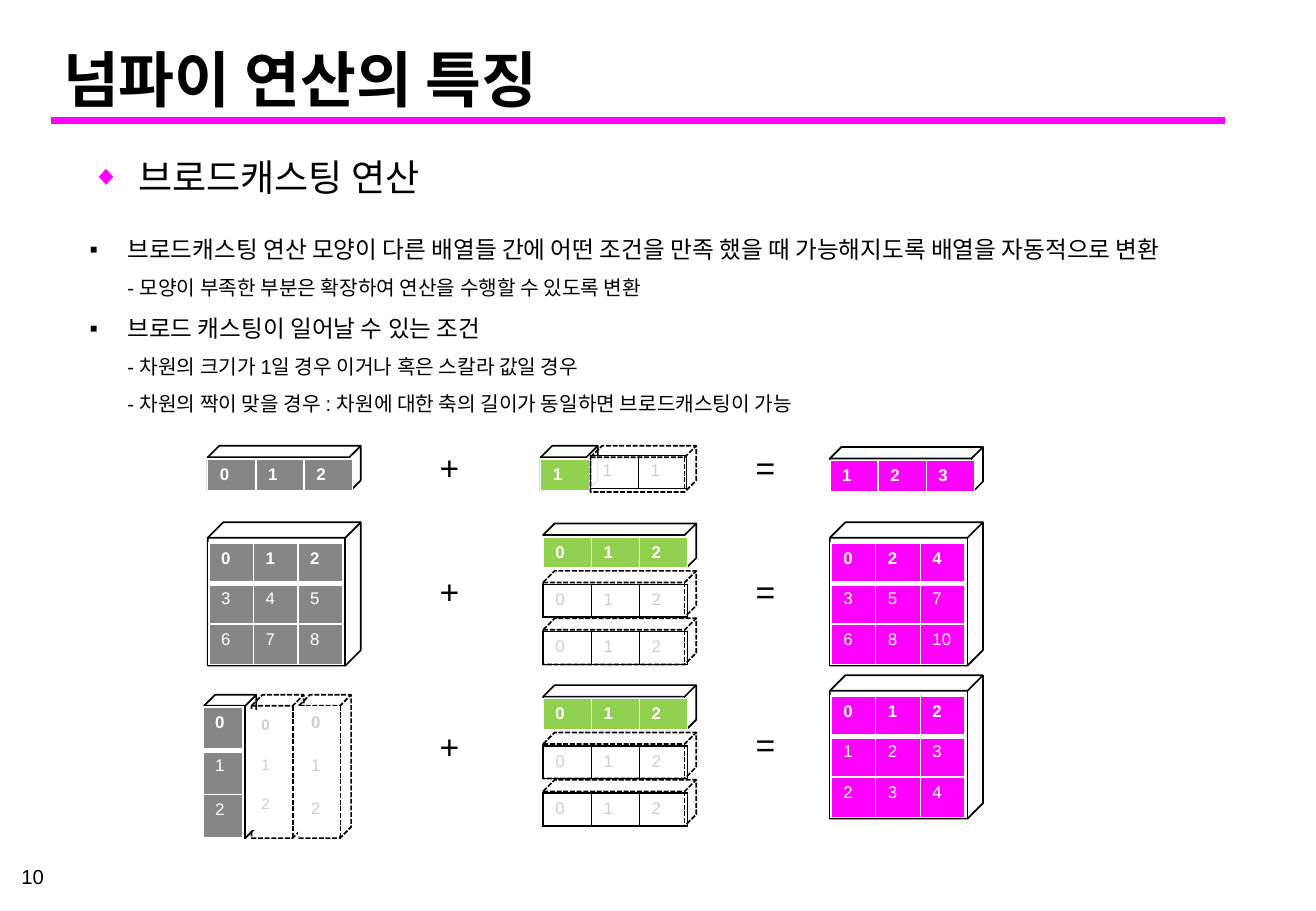
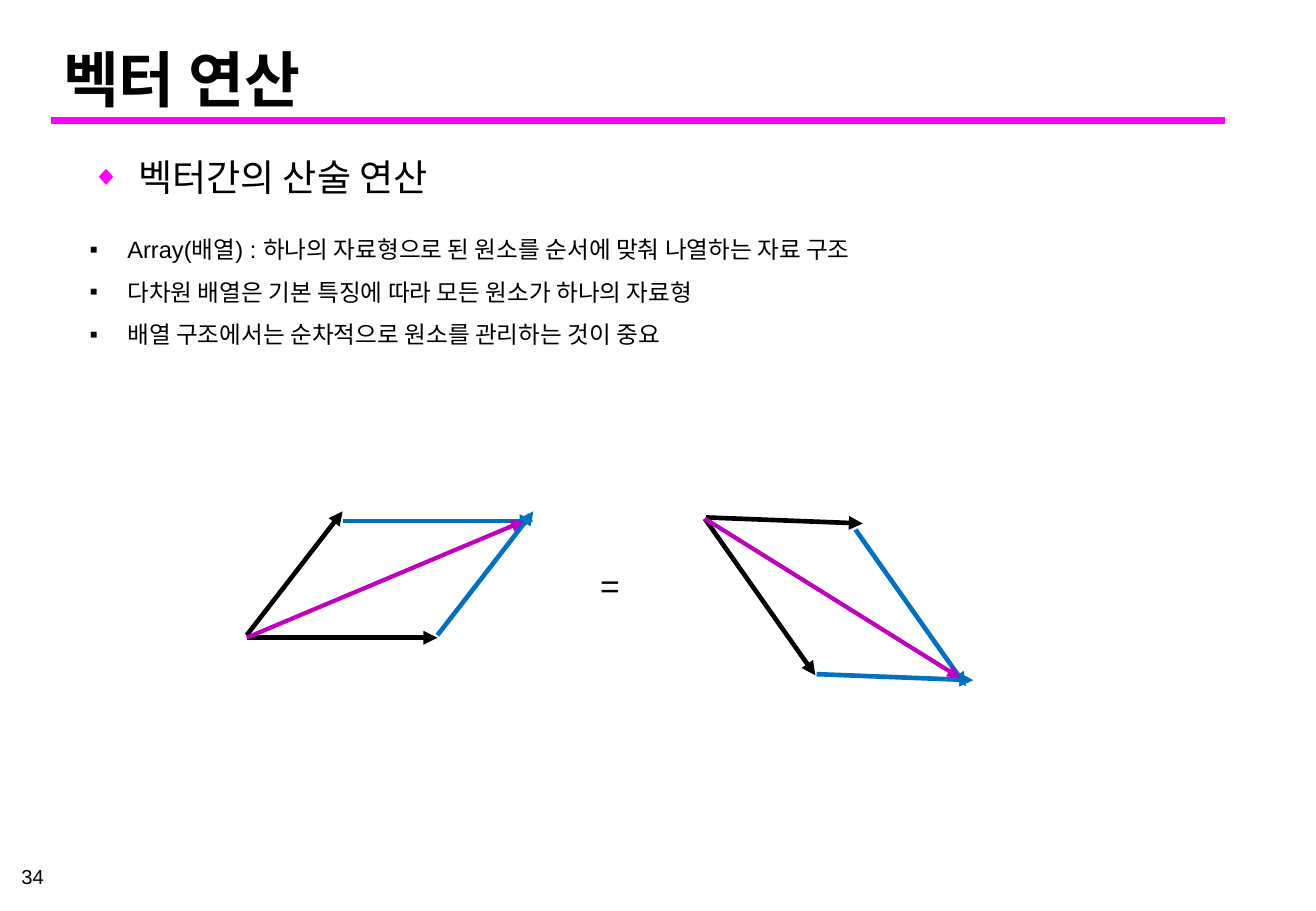
from lxml import etree
from pptx import Presentation
from pptx.dml.color import RGBColor
from pptx.enum.dml import MSO_LINE
from pptx.enum.shapes import MSO_CONNECTOR, MSO_SHAPE
from pptx.enum.text import MSO_ANCHOR, PP_ALIGN
from pptx.oxml.ns import qn
from pptx.util import Inches, Pt

CUBE = MSO_SHAPE.CUBE
STRAIGHT = MSO_CONNECTOR.STRAIGHT
DASH = MSO_LINE.SQUARE_DOT
TOP, MIDDLE, BOTTOM = MSO_ANCHOR.TOP, MSO_ANCHOR.MIDDLE, MSO_ANCHOR.BOTTOM
RIGHT = PP_ALIGN.RIGHT

FONT = "Arial"
BLACK, WHITE = "000000", "FFFFFF"
MAGENTA, GRAY, GREEN = "FF00FF", "868686", "92D050"
PALE, BLUE, PURPLE = "CFCFCF", "0070C0", "BF00BF"


def rgb(color):
    return RGBColor.from_string(color)


def child(parent, tag, **attributes):
    return etree.SubElement(parent, qn(tag), attributes)


def set_font(font, size, color=BLACK, bold=False):
    font.name, font.size, font.bold = FONT, Pt(size), bold
    font.color.rgb = rgb(color)


def add_text_frame(slide, left, top, width, height, anchor=TOP, wrap=True):
    box = slide.shapes.add_textbox(*map(Inches, (left, top, width, height)))
    frame = box.text_frame
    frame.word_wrap, frame.vertical_anchor = wrap, anchor
    return frame


def add_label(slide, text, box, size, bold=False, anchor=TOP, wrap=True, align=None):
    paragraph = add_text_frame(slide, *box, anchor, wrap).paragraphs[0]
    paragraph.text, paragraph.alignment = text, align
    set_font(paragraph.font, size, bold=bold)
    return paragraph


def set_bullet(paragraph, char, indent, spacing, color=BLACK, percent=100):
    paragraph.line_spacing = spacing
    properties = paragraph._p.get_or_add_pPr()
    properties.set("marL", str(Inches(indent)))
    properties.set("indent", str(-Inches(indent)))
    bullet = [etree.Element(qn("a:buClr")),
              etree.Element(qn("a:buSzPct"), val=str(percent * 1000)),
              etree.Element(qn("a:buFont"), typeface=FONT),
              etree.Element(qn("a:buChar"), char=char)]
    child(bullet[0], "a:srgbClr", val=color)
    default_font = properties.find(qn("a:defRPr"))
    for part in bullet:
        if default_font is None:
            properties.append(part)
        else:
            default_font.addprevious(part)


def add_line(shapes, start, end, color, weight, arrow=False):
    line = shapes.add_connector(STRAIGHT, *map(Inches, (*start, *end)))
    line.line.color.rgb, line.line.width = rgb(color), Pt(weight)
    if arrow:
        child(line.line._get_or_add_ln(), "a:tailEnd", type="triangle")
    child(line._element.spPr, "a:effectLst")


def add_page(deck, title, heading, number):
    slide = deck.slides.add_slide(deck.slide_layouts[6])
    add_line(slide.shapes, (0.42, 0.99), (10.08, 0.99), MAGENTA, 4)
    add_label(slide, title, (0.42, 0.28, 9.58, 0.71), 36, True, BOTTOM)
    add_label(slide, number, (0, 7.14, 0.46, 0.15), 12,
              anchor=MIDDLE, wrap=False, align=RIGHT)
    topic = add_label(slide, heading, (0.66, 1.15, 9.4, 0.55), 22)
    topic.space_before = Pt(4.4)
    set_bullet(topic, "◆", 0.38, 1.2, MAGENTA, 75)
    return slide


def add_points(slide, points, height):
    frame = add_text_frame(slide, 0.64, 1.77, 9.83, height)
    for index, (point, *details) in enumerate(points):
        paragraph = frame.add_paragraph() if index else frame.paragraphs[0]
        paragraph.add_run().text = point
        set_font(paragraph.font, 14)
        for detail in details:
            paragraph.add_line_break()
            run = paragraph.add_run()
            run.text, run.font.size = detail, Pt(12)
        set_bullet(paragraph, "▪", 0.31, 1.5)


def add_cube(slide, left, top, width, height, depth=0.25, dashed=False):
    cube = slide.shapes.add_shape(CUBE, *map(Inches, (left, top, width, height)))
    cube.adjustments[0] = depth
    cube.shadow.inherit = False
    cube.fill.background()
    cube.line.color.rgb, cube.line.width = rgb(BLACK), Pt(1)
    if dashed:
        cube.line.dash_style = DASH


def set_borders(cell, color, bottom):
    properties = cell._tc.get_or_add_tcPr()
    for index, side in enumerate("LRTB"):
        weight = bottom if side == "B" else 1
        border = etree.Element(qn(f"a:ln{side}"), w=str(Pt(weight)))
        child(child(border, "a:solidFill"), "a:srgbClr", val=color)
        properties.insert(index, border)


def add_array(slide, left, top, width, height, values, fill=None, ink=WHITE,
              border=WHITE, size=10, opacity=100):
    rows, columns = len(values), len(values[0])
    frame = slide.shapes.add_table(
        rows, columns, *map(Inches, (left, top, width, height)))
    table = frame.table
    table.first_row = table.horz_banding = False
    for column in table.columns:
        column.width = Inches(width / columns)
    for r, row in enumerate(values):
        table.rows[r].height = Inches(height / rows)
        for c, value in enumerate(row):
            cell = table.cell(r, c)
            cell.text = str(value)
            head = r == 0 and border == WHITE
            set_font(cell.text_frame.paragraphs[0].font, size, ink, head)
            if fill:
                cell.fill.solid()
                cell.fill.fore_color.rgb = rgb(fill)
                if opacity < 100:
                    tint = cell._tc.tcPr.find(".//" + qn("a:srgbClr"))
                    child(tint, "a:alpha", val=str(opacity * 1000))
            else:
                cell.fill.background()
            set_borders(cell, border, 3 if head else 1)


def add_bar(slide, left, top, values, fill):
    add_cube(slide, left, top, 1.26, 0.38)
    add_array(slide, left, top + 0.11, 1.19, 0.27, [values], fill)


def add_ghost_bar(slide, left, top, values):
    add_cube(slide, left, top, 1.26, 0.38, dashed=True)
    add_array(slide, left, top + 0.11, 1.19, 0.27, [values], ink=PALE, border=BLACK)


def add_stretched_row(slide, left, top):
    values, pitch = range(3), 0.39
    add_bar(slide, left, top, values, GREEN)
    for copies in (1, 2):
        add_ghost_bar(slide, left, top + copies * pitch, values)


def add_block(slide, left, top, values, fill):
    add_cube(slide, left, top, 1.26, 1.18, 0.108)
    add_array(slide, left + 0.01, top + 0.17, 1.1, 1, values, fill)


def add_stretched_scalar(slide, left, top):
    add_cube(slide, left, top, 0.47, 0.38)
    add_array(slide, left, top + 0.11, 0.4, 0.27, [[1]], GREEN)
    add_array(slide, left + 0.41, top + 0.08, 0.79, 0.27, [[1, 1]], WHITE, PALE,
              BLACK, opacity=94)
    add_cube(slide, left + 0.41, top, 0.87, 0.38, dashed=True)


def add_stretched_column(slide, left, top):
    values, pitch = [[0], [1], [2]], 0.39
    add_cube(slide, left, top, 0.43, 1.18, 0.211)
    add_array(slide, left - 0.01, top + 0.1, 0.33, 1.08, values, GRAY)
    for copies in (1, 2):
        add_cube(slide, left + copies * pitch, top, 0.43, 1.18, 0.211, True)
    add_array(slide, left + 0.37, top + 0.13, 0.33, 0.98, values, WHITE, PALE, size=9)
    add_array(slide, left + 2 * pitch, top + 0.1, 0.33, 1.06, values, WHITE, PALE)


def add_vector_sum(slide, left, top, arrows):
    shapes = slide.shapes.add_group_shape().shapes
    for (x1, y1), (x2, y2), color, weight in arrows:
        add_line(shapes, (left + x1, top + y1), (left + x2, top + y2),
                 color, weight, arrow=True)


def build_broadcasting(deck):
    slide = add_page(deck, "넘파이 연산의 특징", "브로드캐스팅 연산", "10")
    add_points(slide, [
        ("브로드캐스팅 연산 모양이 다른 배열들 간에 어떤 조건을 만족 했을 때 "
         "가능해지도록 배열을 자동적으로 변환",
         "- 모양이 부족한 부분은 확장하여 연산을 수행할 수 있도록 변환"),
        ("브로드 캐스팅이 일어날 수 있는 조건",
         "- 차원의 크기가 1일 경우 이거나 혹은 스칼라 값일 경우",
         "- 차원의 짝이 맞을 경우 : 차원에 대한 축의 길이가 동일하면 "
         "브로드캐스팅이 가능"),
    ], 1.68)
    result = 6.83

    add_bar(slide, 1.71, 3.67, range(3), GRAY)
    add_stretched_scalar(slide, 4.45, 3.67)
    add_bar(slide, result, 3.68, range(1, 4), MAGENTA)

    grid = [range(start, start + 3) for start in (0, 3, 6)]
    add_block(slide, 1.71, 4.3, grid, GRAY)
    add_stretched_row(slide, 4.47, 4.31)
    row_sum = [[value + c for c, value in enumerate(row)] for row in grid]
    add_block(slide, result, 4.3, row_sum, MAGENTA)

    add_stretched_column(slide, 1.68, 5.72)
    add_stretched_row(slide, 4.47, 5.64)
    outer_sum = [range(start, start + 3) for start in range(3)]
    add_block(slide, result, 5.56, outer_sum, MAGENTA)

    for plus_top, equals_top in ((3.63, 3.63), (4.65, 4.65), (5.93, 5.91)):
        add_label(slide, "+", (3.52, plus_top, 0.39, 0.44), 20)
        add_label(slide, "=", (6.12, equals_top, 0.39, 0.44), 20)


def build_vectors(deck):
    slide = add_page(deck, "벡터 연산", "벡터간의 산술 연산", "34")
    add_points(slide, [
        ("Array(배열) : 하나의 자료형으로 된 원소를 순서에 맞춰 나열하는 자료 구조",),
        ("다차원 배열은 기본 특징에 따라 모든 원소가 하나의 자료형",),
        ("배열 구조에서는 순차적으로 원소를 관리하는 것이 중요",),
    ], 1.43)
    add_vector_sum(slide, 2.03, 4.21, [
        ((0, 1.02), (0.79, 0), BLACK, 2.75),
        ((0, 1.04), (1.57, 1.04), BLACK, 2.75),
        ((0.79, 0.08), (2.36, 0.08), BLUE, 2.75),
        ((1.57, 1.02), (2.36, 0), BLUE, 2.75),
        ((0, 1.04), (2.28, 0.08), PURPLE, 2.5),
    ])
    add_vector_sum(slide, 5.8, 4.26, [
        ((0.01, 0), (1.3, 0.05), BLACK, 2.75),
        ((0, 0.01), (0.91, 1.3), BLACK, 2.75),
        ((1.24, 0.1), (2.15, 1.39), BLUE, 2.75),
        ((0.92, 1.29), (2.21, 1.34), BLUE, 2.75),
        ((0, 0.01), (2.1, 1.32), PURPLE, 2.5),
    ])
    add_label(slide, "=", (4.84, 4.6, 0.65, 0.44), 20)


deck = Presentation()
deck.slide_width, deck.slide_height = Inches(10.83), Inches(7.5)
build_broadcasting(deck)
build_vectors(deck)
deck.save("out.pptx")
